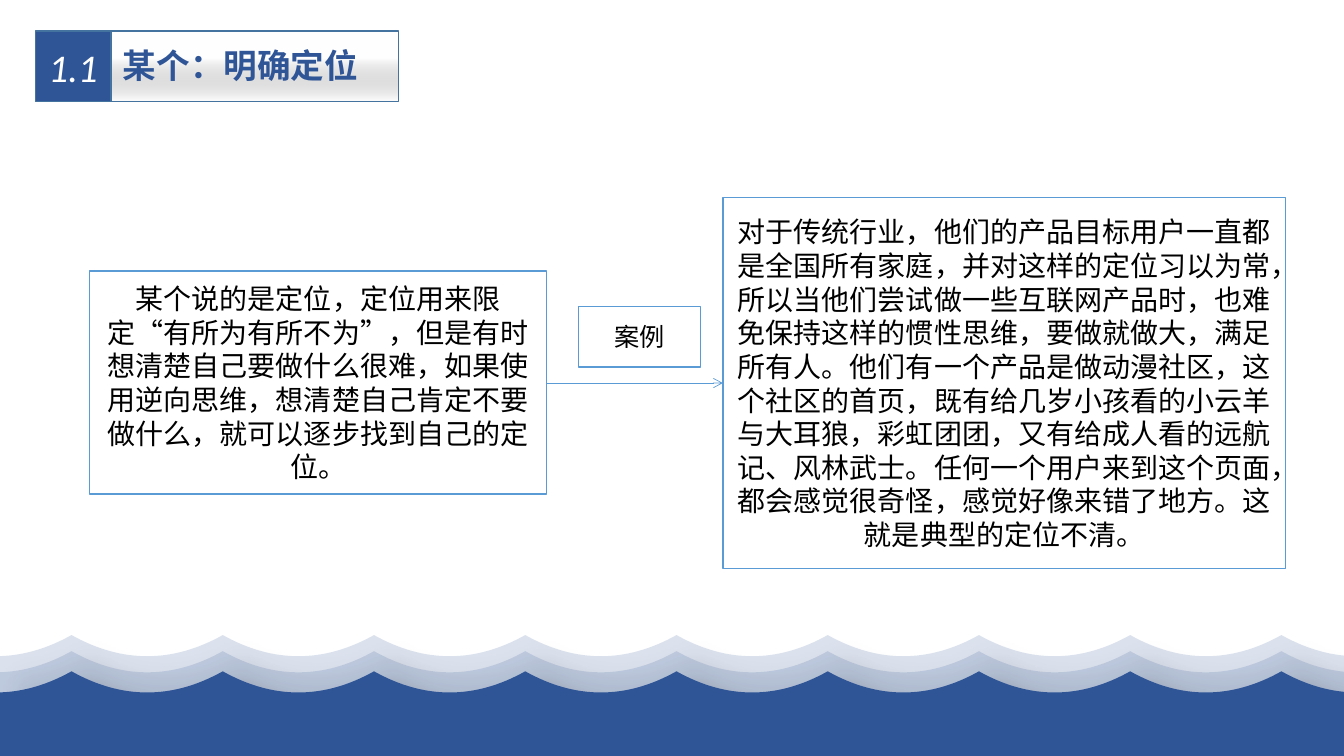
"""Build a positioning slide with two linked text panels above layered waves."""
from dataclasses import dataclass

from lxml import etree
from pptx import Presentation
from pptx.dml.color import RGBColor
from pptx.enum import lang, shapes, text
from pptx.oxml.ns import qn
from pptx.util import Inches, Pt


@dataclass(frozen=True)
class Theme:
    navy: RGBColor = RGBColor(0x2F, 0x55, 0x97)
    edge: RGBColor = RGBColor(0x43, 0x73, 0x9E)
    sky: RGBColor = RGBColor(0x5B, 0x9B, 0xD5)
    gray: RGBColor = RGBColor(0x80, 0x80, 0x80)
    white: RGBColor = RGBColor(0xFF, 0xFF, 0xFF)
    black: RGBColor = RGBColor(0, 0, 0)
    latin: str = "Calibri"
    asian: str = "Noto Sans CJK SC"
    label: int = 18
    body: int = 20
    title: int = 24
    number: int = 28


theme = Theme()


def node(parent, tag, **attrs):
    """Append one drawing element to its parent."""
    return etree.SubElement(parent, qn(tag), attrs)


def panel(parent, area, fill, line, words="", size=theme.body, color=theme.black):
    """Draw a bordered rectangle with centred text."""
    shape = parent.add_shape(shapes.MSO_SHAPE.RECTANGLE, *map(Inches, area))
    shape.shadow.inherit = False
    shape.fill.solid()
    shape.fill.fore_color.rgb = fill
    shape.line.color.rgb = line
    shape.line.width = Pt(1)
    shape.text_frame.vertical_anchor = text.MSO_ANCHOR.MIDDLE
    if words:
        para = shape.text_frame.paragraphs[0]
        para.alignment = text.PP_ALIGN.CENTER
        run = para.add_run()
        run.text = words
        run.font.size = Pt(size)
        run.font.color.rgb = color
        run.font.name = theme.latin
        run.font.language_id = lang.MSO_LANGUAGE_ID.SIMPLIFIED_CHINESE
        node(run._r.get_or_add_rPr(), "a:ea", typeface=theme.asian)
    return shape


deck = Presentation()
deck.slide_width = Inches(13.33)
deck.slide_height = Inches(7.5)
slide = deck.slides.add_slide(deck.slide_layouts[6])

width, height, period, crest, dip = 13.33, 3.25, 1.5, 0.71, 0.21
knots = [0] + [crest + period * i for i in range(9)] + [width]
curve = []
for left, right in zip(knots, knots[1:]):
    start = (left - crest) / period % 1 if left == 0 else 0
    end = start + (right - left) / period
    first, last = (4 * dip * u * (1 - u) for u in (start, end))
    joint = 4 * dip * ((start + end) / 2 - start * end)
    third = (right - left) / 3
    curve += [(left + third, (first + 2 * joint) / 3),
              (right - third, (last + 2 * joint) / 3), (right, last)]
rise = (period - crest) / period
curve.insert(0, (0, 4 * dip * rise * (1 - rise)))

for top, opacity in ((6.3, 17), (6.46, 17), (6.66, 100)):
    pen = slide.shapes.build_freeform(0, Inches(top + height), scale=1.0)
    points = [(Inches(x), Inches(top + drop)) for x, drop in curve]
    pen.add_line_segments(points + [(Inches(width), Inches(top + height))])
    wave = pen.convert_to_shape()
    wave.fill.solid()
    wave.fill.fore_color.rgb = theme.navy
    wave.line.fill.background()
    wave.shadow.inherit = False
    props = wave.element.spPr
    sides = list(props.iter(qn("a:lnTo")))[1:-1]
    for trio in zip(sides[::3], sides[1::3], sides[2::3]):
        bend = etree.Element(qn("a:cubicBezTo"))
        trio[0].addprevious(bend)
        for side in trio:
            bend.append(side[0])
            side.getparent().remove(side)
    if opacity < 100:
        node(next(props.iter(qn("a:srgbClr"))), "a:alpha", val=str(opacity * 1000))
    shade = node(props.find(qn("a:effectLst")), "a:outerShdw", blurRad=str(Pt(15)),
                 dist=str(Pt(18)), dir="2700000", algn="tl", rotWithShape="0")
    ink = node(shade, "a:srgbClr", val=str(theme.black))
    node(ink, "a:alpha", val="30000")

header = slide.shapes.add_group_shape().shapes
band = panel(header, (1.1, 0.31, 2.85, 0.7), theme.white, theme.edge)
band.fill.gradient()
band.fill.gradient_angle = 270
stops = band.fill.gradient_stops
for stop, place, color in zip(stops, (0.38, 1), (theme.white, theme.gray)):
    stop.position = place
    stop.color.rgb = color
fade = list(band.element.spPr.iter(qn("a:gs")))[-1]
node(fade.find(qn("a:srgbClr")), "a:alpha", val="0")

title = header.add_textbox(*map(Inches, (1.12, 0.4, 2.57, 0.5)))
title.text_frame.word_wrap = False
title.text_frame.auto_size = text.MSO_AUTO_SIZE.SHAPE_TO_FIT_TEXT
run = title.text_frame.paragraphs[0].add_run()
run.text = "某个：明确定位"
run.font.size = Pt(theme.title)
run.font.bold = True
run.font.color.rgb = theme.navy
run.font.name = theme.asian
node(run._r.get_or_add_rPr(), "a:ea", typeface=theme.asian)

badge = panel(header, (0.35, 0.31, 0.75, 0.7), theme.navy, theme.edge,
              "1.1", theme.number, theme.white)
badge.text_frame.paragraphs[0].runs[0].font.italic = True

idea = (
    "某个说的是定位，定位用来限定“有所为有所不为”，但是有时想清楚自己要做什么很难，"
    "如果使用逆向思维，想清楚自己肯定不要做什么，就可以逐步找到自己的定位。"
)
story = (
    "对于传统行业，他们的产品目标用户一直都是全国所有家庭，并对这样的定位习以为常，"
    "所以当他们尝试做一些互联网产品时，也难免保持这样的惯性思维，要做就做大，满足所有人。"
    "他们有一个产品是做动漫社区，这个社区的首页，既有给几岁小孩看的小云羊与大耳狼，"
    "彩虹团团，又有给成人看的远航记、风林武士。任何一个用户来到这个页面，都会感觉很奇怪，"
    "感觉好像来错了地方。这就是典型的定位不清。"
)
for area, words, size in (
    ((0.89, 2.69, 4.53, 2.21), idea, theme.body),
    ((7.17, 1.96, 5.58, 3.68), story, theme.body),
):
    panel(slide.shapes, area, theme.white, theme.sky, words, size)

arrow = slide.shapes.add_connector(
    shapes.MSO_CONNECTOR.STRAIGHT, *map(Inches, (5.42, 3.8, 7.17, 3.8)))
arrow.line.color.rgb = theme.sky
arrow.line.width = Pt(0.5)
node(arrow.line._get_or_add_ln(), "a:tailEnd", type="arrow")
node(arrow.element.spPr, "a:effectLst")

panel(slide.shapes, (5.74, 3.04, 1.21, 0.6), theme.white, theme.sky, "案例", theme.label)

deck.save("out.pptx")
